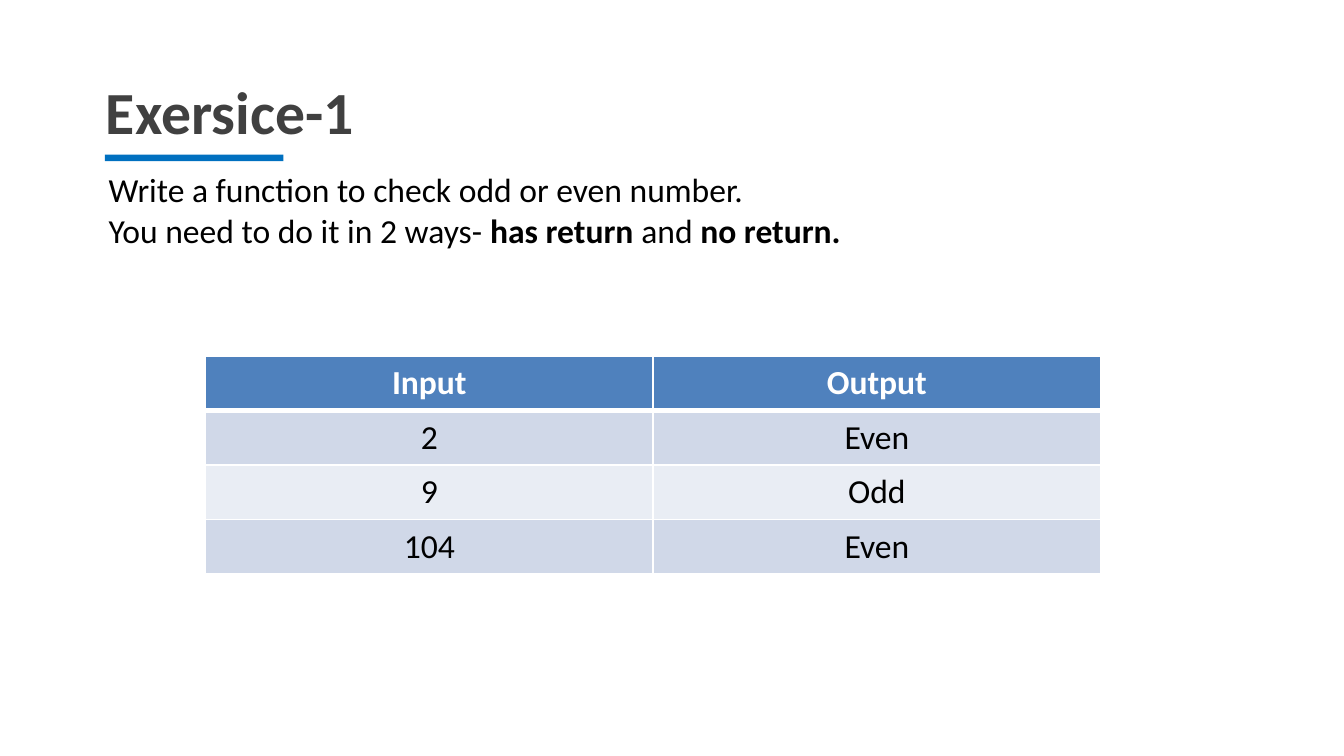
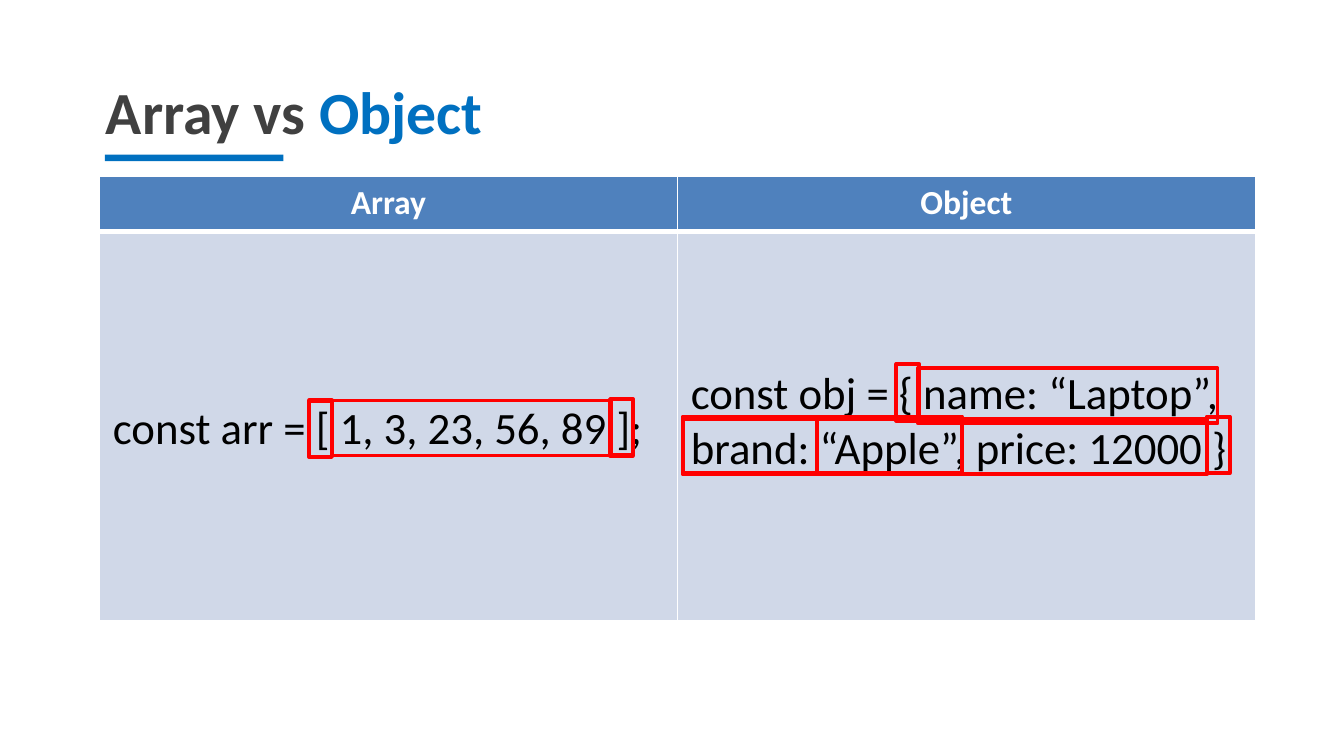
from lxml import etree
from pptx import Presentation
from pptx.dml.color import RGBColor
from pptx.enum.shapes import MSO_SHAPE
from pptx.enum.text import MSO_AUTO_SIZE, PP_ALIGN
from pptx.oxml.ns import qn
from pptx.util import Inches, Pt

RECTANGLE = MSO_SHAPE.RECTANGLE
FIT_TEXT = MSO_AUTO_SIZE.SHAPE_TO_FIT_TEXT
CENTER, LEFT = PP_ALIGN.CENTER, PP_ALIGN.LEFT

FONT = "Calibri"
COLORS = {
    "title": "404040",
    "accent": "0070C0",
    "text": "000000",
    "white": "FFFFFF",
    "header": "4F81BD",
    "band_dark": "D0D8E8",
    "band_light": "E9EDF4",
    "highlight": "FF0000",
}

# Title runs: (text, color)
EXERCISE_TITLE = [("Exersice-1", "title")]
COMPARISON_TITLE = [("Array vs ", "title"), ("Object", "accent")]

# Task paragraphs: runs of (text, bold)
TASK = [
    [("Write a function to check odd or even number.", False)],
    [("You need to do it in 2 ways- ", False), ("has return ", True),
     ("and ", False), ("no return.", True)],
]

EXERCISE_ROWS = [("Input", "Output"), ("2", "Even"), ("9", "Odd"), ("104", "Even")]
COMPARISON_ROWS = [
    ("Array", "Object"),
    ("const arr = [ 1, 3, 23, 56, 89 ];",
     "const obj = { name: “Laptop”, brand: “Apple”, price: 12000 }"),
]
CODE_TOP_MARGINS = (1.27, 1.01)

EXERCISE_TABLE_HEIGHT = 1.62
HEADER_HEIGHT = 0.41
CODE_ROW_HEIGHT = 2.9
BRACKET_SIZE = (0.17, 0.42)
BRACKETS = [(2.3, 2.98), (4.54, 2.97), (6.67, 2.71), (8.98, 3.1)]
MEMBERS = [  # left, top, width, height
    (2.47, 2.98, 2.08, 0.41),
    (6.83, 2.74, 2.23, 0.41),
    (5.08, 3.12, 3.9, 0.41),
    (5.08, 3.1, 1, 0.42),
    (6.08, 3.1, 1.08, 0.42),
]


def rgb(name):
    return RGBColor.from_string(COLORS[name])


def style_font(font, size, color, bold=False):
    font.name, font.size, font.bold = FONT, Pt(size), bold
    font.color.rgb = rgb(color)


def add_text_frame(slide, left, top, width, height):
    box = slide.shapes.add_textbox(*map(Inches, (left, top, width, height)))
    frame = box.text_frame
    frame.word_wrap = True
    frame.auto_size = FIT_TEXT
    return frame


def add_rectangle(slide, left, top, width, height):
    shape = slide.shapes.add_shape(RECTANGLE, *map(Inches, (left, top, width, height)))
    shape.shadow.inherit = False
    return shape


def add_title(slide, runs):
    paragraph = add_text_frame(slide, 0.69, 0.51, 8.33, 0.64).paragraphs[0]
    for text, color in runs:
        run = paragraph.add_run()
        run.text = text
        style_font(run.font, 32, color, True)


def add_title_bar(slide):
    bar = add_rectangle(slide, 0.78, 1.15, 1.33, 0.05)
    bar.fill.solid()
    bar.fill.fore_color.rgb = rgb("accent")
    bar.line.fill.background()


def add_task(slide):
    frame = add_text_frame(slide, 0.71, 1.21, 8.19, 0.71)
    for index, runs in enumerate(TASK):
        paragraph = frame.add_paragraph() if index else frame.paragraphs[0]
        for text, bold in runs:
            run = paragraph.add_run()
            run.text = text
            style_font(run.font, 18, "text", bold)


def set_borders(cell, top, bottom):
    """Draw white cell borders; top and bottom are widths in points."""
    properties = cell._tc.get_or_add_tcPr()
    for tag, width in (("lnL", 1), ("lnR", 1), ("lnT", top), ("lnB", bottom)):
        line = etree.SubElement(properties, qn(f"a:{tag}"), w=str(Pt(width)))
        fill = etree.SubElement(line, qn("a:solidFill"))
        etree.SubElement(fill, qn("a:srgbClr"), val=COLORS["white"])


def add_table(slide, left, top, width, rows, heights, body_size=18, body_align=CENTER):
    columns = len(rows[0])
    table = slide.shapes.add_table(
        len(rows), columns, *map(Inches, (left, top, width, sum(heights)))).table
    for column in table.columns:
        column.width = Inches(width / columns)
    for row_index, texts in enumerate(rows):
        table.rows[row_index].height = Inches(heights[row_index])
        is_header = row_index == 0
        band = "band_dark" if row_index % 2 else "band_light"
        for column_index, text in enumerate(texts):
            cell = table.cell(row_index, column_index)
            set_borders(cell, 3 if row_index == 1 else 1, 3 if is_header else 1)
            cell.fill.solid()
            cell.fill.fore_color.rgb = rgb("header" if is_header else band)
            cell.text = text
            paragraph = cell.text_frame.paragraphs[0]
            paragraph.alignment = CENTER if is_header else body_align
            if is_header:
                style_font(paragraph.font, 18, "white", True)
            else:
                style_font(paragraph.font, body_size, "text")
    return table


def add_highlight(slide, bounds, line_width):
    box = add_rectangle(slide, *bounds)
    box.fill.background()
    box.line.color.rgb = rgb("highlight")
    box.line.width = Pt(line_width)


def build_exercise(slide):
    add_title(slide, EXERCISE_TITLE)
    add_task(slide)
    row_count = len(EXERCISE_ROWS)
    add_table(slide, 1.53, 2.65, 6.66, EXERCISE_ROWS,
              [EXERCISE_TABLE_HEIGHT / row_count] * row_count)
    add_title_bar(slide)


def build_comparison(slide):
    add_title(slide, COMPARISON_TITLE)
    table = add_table(slide, 0.74, 1.31, 8.6, COMPARISON_ROWS,
                      [HEADER_HEIGHT, CODE_ROW_HEIGHT], 24, LEFT)
    for column_index, margin in enumerate(CODE_TOP_MARGINS):
        table.cell(1, column_index).margin_top = Inches(margin)
    for position in BRACKETS:
        add_highlight(slide, position + BRACKET_SIZE, 2.25)
    for bounds in MEMBERS:
        add_highlight(slide, bounds, 2)
    add_title_bar(slide)


def main():
    presentation = Presentation()
    presentation.slide_width = Inches(10)
    presentation.slide_height = presentation.slide_width * 9 // 16
    blank = presentation.slide_layouts[6]
    for build in (build_exercise, build_comparison):
        build(presentation.slides.add_slide(blank))
    presentation.save("out.pptx")


if __name__ == "__main__":
    main()
